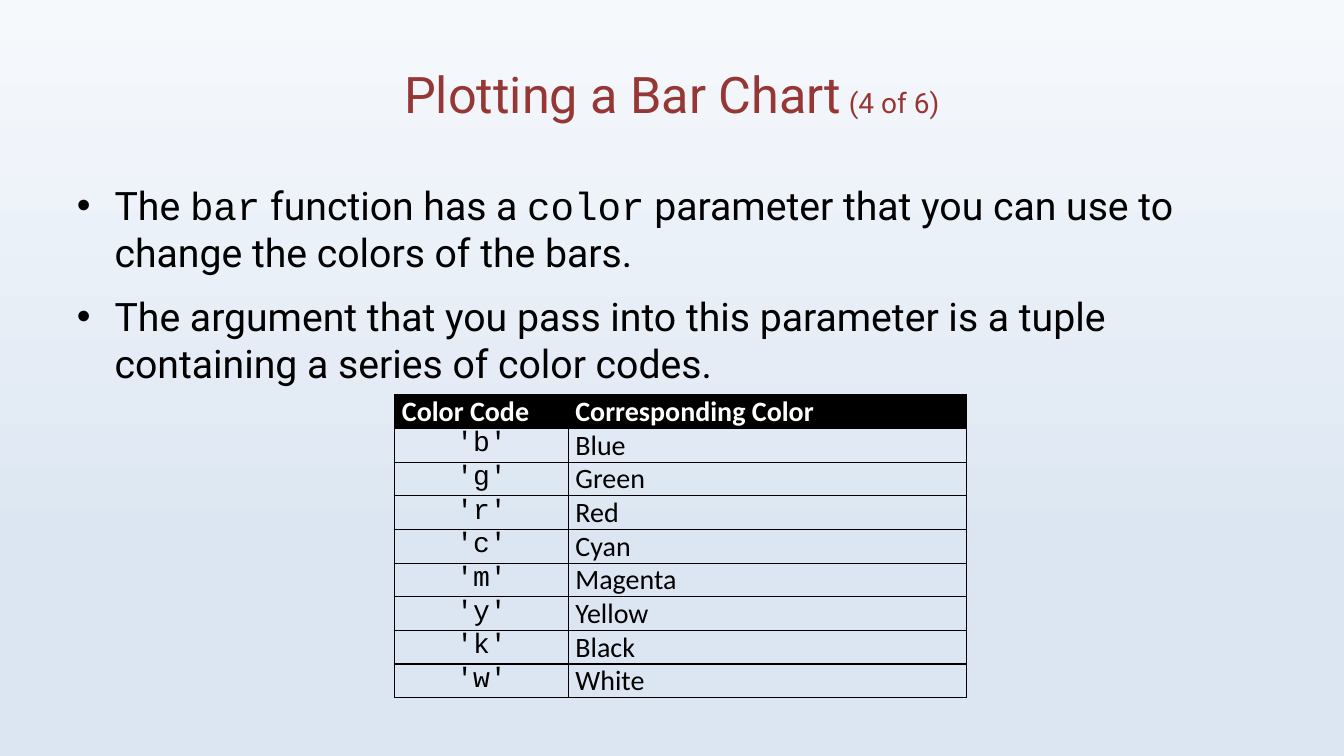
from lxml import etree
from pptx import Presentation
from pptx.dml.color import RGBColor
from pptx.enum.text import MSO_ANCHOR, PP_ALIGN
from pptx.oxml.ns import qn
from pptx.util import Cm, Pt

CENTER, LEFT = PP_ALIGN.CENTER, PP_ALIGN.LEFT
MIDDLE, TOP = MSO_ANCHOR.MIDDLE, MSO_ANCHOR.TOP
SANS, CODE, TABLE_FONT = "Roboto", "Courier New", "Calibri"
BLACK, WHITE, MAROON = "000000", "FFFFFF", "953735"

BULLETS = [
    [("The ", SANS), ("bar", CODE), (" function has a ", SANS), ("color", CODE),
     (" parameter that you can use to change the colors of the bars.", SANS)],
    [("The argument that you pass into this parameter is a tuple "
      "containing a series of color codes.", SANS)],
]
COLOR_NAMES = {
    "b": "Blue", "g": "Green", "r": "Red", "c": "Cyan",
    "m": "Magenta", "y": "Yellow", "k": "Black", "w": "White",
}


def rgb(value):
    return RGBColor.from_string(value)


def add_run(p, text, font, size, color, bold=False):
    r = p.add_run()
    r.text = text
    r.font.name = font
    r.font.size = Pt(size)
    r.font.bold = bold
    r.font.color.rgb = rgb(color)


def add_text_frame(s, box, anchor):
    tf = s.shapes.add_textbox(*map(Cm, box)).text_frame
    tf.word_wrap = True
    tf.vertical_anchor = anchor
    return tf


def add_bullet(p):
    pPr = p._p.get_or_add_pPr()
    pPr.set("marL", str(Cm(0.95)))
    pPr.set("indent", str(-Cm(0.95)))
    etree.SubElement(pPr, qn("a:buFont")).set("typeface", "Arial")
    etree.SubElement(pPr, qn("a:buChar")).set("char", "•")


def add_borders(cell):
    tcPr = cell._tc.get_or_add_tcPr()
    for side in ("lnL", "lnR", "lnT", "lnB"):
        ln = etree.SubElement(tcPr, qn(f"a:{side}"), w=str(Pt(1)))
        fill = etree.SubElement(ln, qn("a:solidFill"))
        etree.SubElement(fill, qn("a:srgbClr"), val=BLACK)


def set_background(s):
    fill = s.background.fill
    fill.gradient()
    fill.gradient_angle = 270
    for stop, (position, color) in zip(fill.gradient_stops,
                                       [(0, "F6F9FC"), (0.73, "DCE6F2")]):
        stop.position = position
        stop.color.rgb = rgb(color)


def add_title(s, box, title, part):
    p = add_text_frame(s, box, MIDDLE).paragraphs[0]
    p.alignment = CENTER
    add_run(p, title, SANS, 36, MAROON)
    add_run(p, part, SANS, 20, MAROON)


def add_body(s, box, bullets):
    tf = add_text_frame(s, box, TOP)
    for i, runs in enumerate(bullets):
        p = tf.add_paragraph() if i else tf.paragraphs[0]
        p.space_after = Pt(12)
        add_bullet(p)
        for text, font in runs:
            add_run(p, text, font, 28, BLACK)


def fill_cell(cell, text, font, align, header):
    cell.margin_left = cell.margin_right = Cm(0.18)
    cell.margin_top = cell.margin_bottom = 0
    add_borders(cell)
    if header:
        cell.fill.solid()
        cell.fill.fore_color.rgb = rgb(BLACK)
    else:
        cell.fill.background()
    p = cell.text_frame.paragraphs[0]
    p.alignment = align
    add_run(p, text, font, 20, WHITE if header else BLACK, header)


def add_color_table(s, box, names):
    rows = [("Color Code", "Corresponding Color")]
    rows += [(f"'{code}'", name) for code, name in names.items()]
    table = s.shapes.add_table(len(rows), 2, *map(Cm, box)).table
    table.horz_banding = False
    code_width = 4.37
    table.columns[0].width = Cm(code_width)
    table.columns[1].width = Cm(box[2] - code_width)
    for i, (code, name) in enumerate(rows):
        header = i == 0
        code_style = (TABLE_FONT, LEFT) if header else (CODE, CENTER)
        fill_cell(table.cell(i, 0), code, *code_style, header)
        fill_cell(table.cell(i, 1), name, TABLE_FONT, LEFT, header)


def main():
    prs = Presentation()
    prs.slide_width, prs.slide_height = Cm(33.87), Cm(19.05)
    s = prs.slides.add_slide(prs.slide_layouts[6])
    set_background(s)
    add_title(s, (1.69, 0.76, 30.48, 3.18), "Plotting a Bar Chart", " (4 of 6)")
    add_body(s, (1.69, 4.45, 30.48, 12.57), BULLETS)
    add_color_table(s, (9.95, 9.95, 14.4, 7.62), COLOR_NAMES)
    prs.save("out.pptx")


if __name__ == "__main__":
    main()
